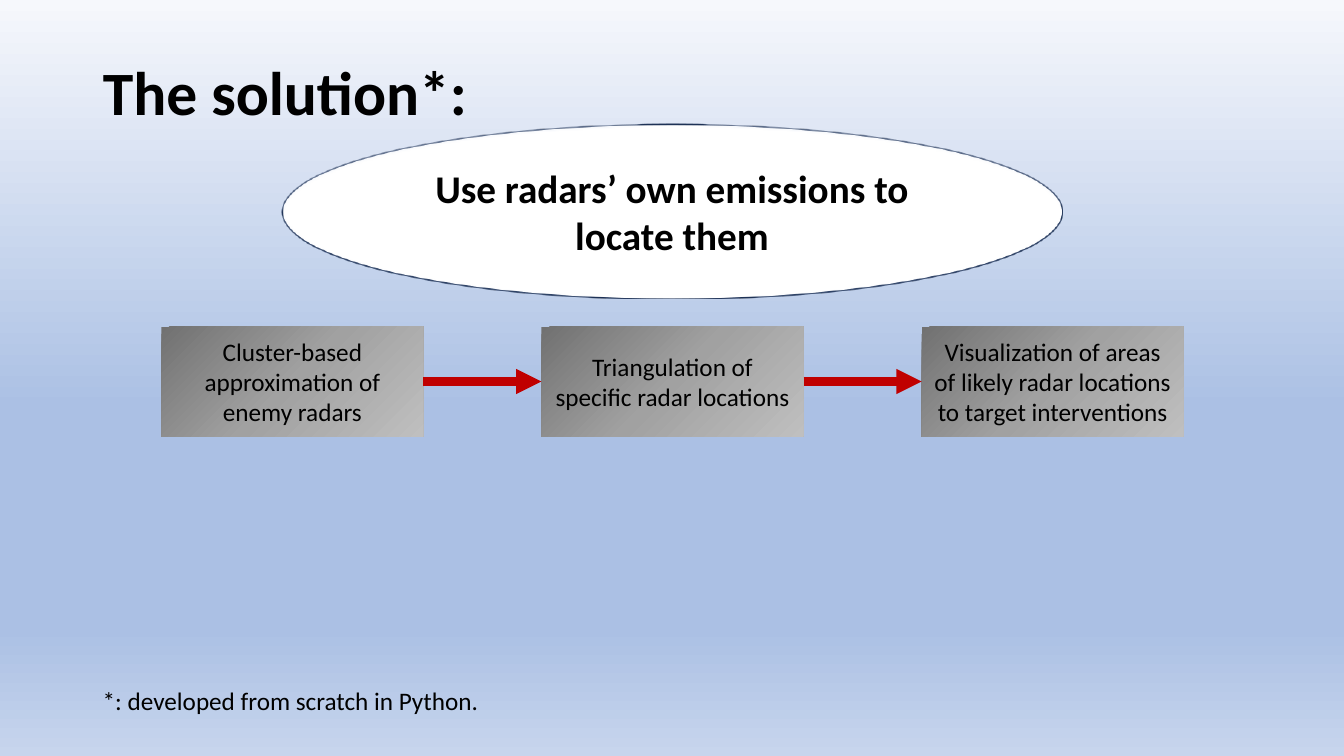
from lxml import etree
from pptx import Presentation
from pptx.dml.color import RGBColor
from pptx.enum.shapes import MSO_CONNECTOR as CONN, MSO_SHAPE as SHAPE
from pptx.enum.text import MSO_ANCHOR as ANCHOR, PP_ALIGN as ALIGN
from pptx.oxml.ns import qn
from pptx.util import Inches, Pt

TITLE = "The solution*:"
IDEA = "Use radars’ own emissions to locate them"
STEPS = [
    "Cluster-based approximation of enemy radars",
    "Triangulation of specific radar locations",
    "Visualization of areas of likely radar locations to target interventions",
]
FOOTNOTE = "*: developed from scratch in Python."

FONT = "Calibri"
COLORS = {"text": "000000", "idea": "FFFFFF", "outline": "1E3256", "arrow": "C00000"}
SKY = [(0, "F6F8FC"), (54, "ABC0E4"), (83, "ABC0E4"), (100, "C7D5ED")]
STEEL = [(0, "717171"), (50, "A1A1A1"), (100, "BFBFBF")]

STEP_LEFT, STEP_TOP, STEP_W, STEP_H = 1.6, 3.24, 2.6, 1.09
STEP_PITCH = 3.77


def rgb(name):
    return RGBColor.from_string(COLORS[name])


def set_gradient(fill, parent, stops, angle):
    """Fill with any number of stops; angle runs clockwise from left to right."""
    fill.gradient()
    fill.gradient_angle = 360 - angle
    gs_list = next(parent.iter(qn("a:gsLst")))
    for gs in list(gs_list):
        gs_list.remove(gs)
    for pos, color in stops:
        gs = etree.SubElement(gs_list, qn("a:gs"), pos=str(pos * 1000))
        etree.SubElement(gs, qn("a:srgbClr"), val=color)


def set_text(sp, text, size, bold=False, align=ALIGN.LEFT, anchor=ANCHOR.MIDDLE):
    tf = sp.text_frame
    tf.text = text
    tf.word_wrap = True
    tf.vertical_anchor = anchor
    p = tf.paragraphs[0]
    p.alignment = align
    font = p.runs[0].font
    font.name, font.size, font.bold = FONT, Pt(size), bold
    font.color.rgb = rgb("text")
    return p


def add_step(s, text, left):
    sp = s.shapes.add_shape(SHAPE.RECTANGLE, Inches(left), Inches(STEP_TOP),
                            Inches(STEP_W), Inches(STEP_H))
    sp.shadow.inherit = False
    sp.line.fill.background()
    set_gradient(sp.fill, sp._element.spPr, STEEL, 45)
    set_text(sp, text, 18, align=ALIGN.CENTER)
    return sp


def add_arrow(s, start, end):
    arrow = s.shapes.add_connector(CONN.STRAIGHT, 0, 0, 0, 0)
    arrow.begin_connect(start, 3)
    arrow.end_connect(end, 1)
    arrow.line.color.rgb = rgb("arrow")
    arrow.line.width = Pt(6)
    etree.SubElement(arrow.line._get_or_add_ln(), qn("a:tailEnd"), type="triangle")
    etree.SubElement(arrow._element.spPr, qn("a:effectLst"))


def main():
    prs = Presentation()
    prs.slide_width, prs.slide_height = Inches(13.33), Inches(7.5)
    s = prs.slides.add_slide(prs.slide_layouts[5])
    set_gradient(s.background.fill, s._element.find(".//" + qn("p:bg")), SKY, 90)

    title = s.shapes.title
    title.left, title.top = Inches(0.92), Inches(0.4)
    title.width, title.height = Inches(11.5), Inches(1.09)
    set_text(title, TITLE, 44, bold=True).line_spacing = 0.9

    idea = s.shapes.add_shape(SHAPE.OVAL, Inches(2.8), Inches(1.23),
                              Inches(7.73), Inches(1.73))
    idea.shadow.inherit = False
    idea.fill.solid()
    idea.fill.fore_color.rgb = rgb("idea")
    idea.line.color.rgb = rgb("outline")
    idea.line.width = Pt(1)
    effects = idea._element.spPr.find(qn("a:effectLst"))
    etree.SubElement(effects, qn("a:softEdge"), rad=str(Pt(1)))
    set_text(idea, IDEA, 28, bold=True, align=ALIGN.CENTER)

    steps = [add_step(s, text, STEP_LEFT + i * STEP_PITCH)
             for i, text in enumerate(STEPS)]
    for start, end in zip(steps, steps[1:]):
        add_arrow(s, start, end)

    note = s.shapes.add_textbox(Inches(0.92), Inches(6.75), Inches(4.29), Inches(0.4))
    set_text(note, FOOTNOTE, 18, anchor=ANCHOR.TOP)

    prs.save("out.pptx")


if __name__ == "__main__":
    main()
